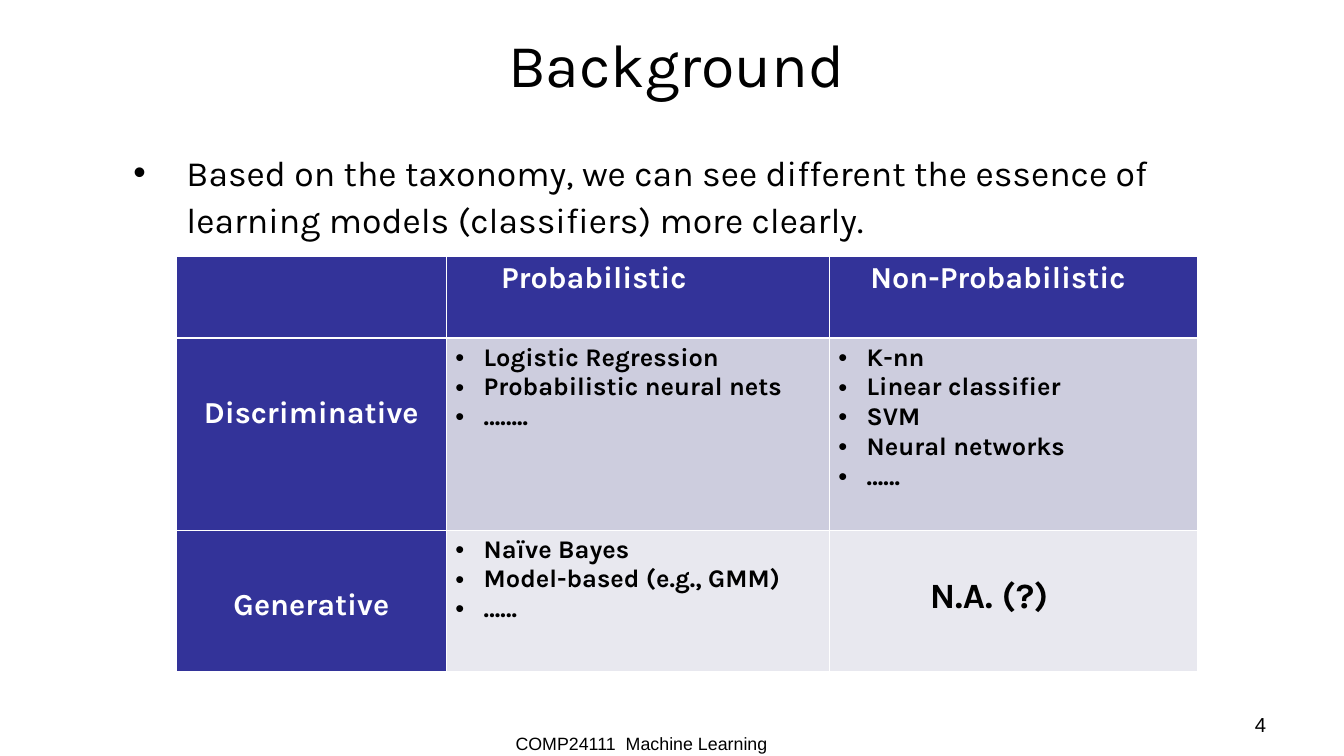
from lxml import etree
from pptx import Presentation, util as u
from pptx.dml.color import RGBColor
from pptx.enum import text as t
from pptx.oxml.ns import qn

# Content
TITLE = "Background"
POINT = ("Based on the taxonomy, we can see different the essence of "
         "learning models (classifiers) more clearly.")
FOOT = "COMP24111  Machine Learning"
PAGE = "4"
GRID = [
    [[], ["Probabilistic"], ["Non-Probabilistic"]],
    [["Discriminative"],
     ["Logistic Regression", "Probabilistic neural nets", "…….."],
     ["K-nn", "Linear classifier", "SVM", "Neural networks", "……"]],
    [["Generative"],
     ["Naïve Bayes", "Model-based (e.g., GMM)", "……"],
     ["N.A. (?)"]],
]

# Look
HUES = {"ink": "000000", "white": "FFFFFF", "head": "333399",
        "band": "CDCDDE", "pale": "E8E8EF"}
WIDE, HIGH = 14.7, 8.27

# Places, in percent of the slide: left, top, width, height
SPOTS = {"title": (13.13, 0, 74.42, 16.69),
         "point": (9.18, 18.74, 84.49, 14.5),
         "page": (71.63, 93.47, 23.33, 6.89),
         "foot": (37.69, 96.37, 20.27, 4.11)}
COLS = (20.07, 28.5, 27.41)
ROWS = (10.88, 25.39, 18.62)
CORNER = (13.13, 33.86)

# Cell insets in inches: left, top
PADS = {(0, 1): (0.6, 0.05), (0, 2): (0.45, 0.05),
        (1, 0): (0.1, 0.63), (2, 0): (0.1, 0.63), (2, 2): (1.1, 0.5)}


def across(share):
    return u.Inches(WIDE * share / 100)


def down(share):
    return u.Inches(HIGH * share / 100)


def write(frame, lines, size=20, font="Karla", hue="ink", bold=False,
          align="LEFT", dent=0, lead=None, before=0):
    """Fill a text frame; a dent above zero makes bullets."""
    for i, line in enumerate(lines):
        para = frame.add_paragraph() if i else frame.paragraphs[0]
        para.alignment = getattr(t.PP_ALIGN, align)
        para.space_before = u.Pt(before)
        if lead:
            para.line_spacing = lead
        if dent:
            props = para._p.get_or_add_pPr()
            props.set("marL", str(u.Inches(dent)))
            props.set("indent", str(-u.Inches(dent)))
            etree.SubElement(props, qn("a:buFont"), typeface="Arial")
            etree.SubElement(props, qn("a:buChar"), char="•")
        run = para.add_run()
        run.text = line
        run.font.size, run.font.name, run.font.bold = u.Pt(size), font, bold
        run.font.color.rgb = RGBColor.from_string(HUES[hue])


def place(name, line, pad=(0.11, 0.06), wrap=True, mid=False, **form):
    x, y, w, h = SPOTS[name]
    frame = slide.shapes.add_textbox(
        across(x), down(y), across(w), down(h)).text_frame
    frame.word_wrap = wrap
    frame.margin_left = frame.margin_right = u.Inches(pad[0])
    frame.margin_top = frame.margin_bottom = u.Inches(pad[1])
    frame.vertical_anchor = t.MSO_ANCHOR.MIDDLE if mid else t.MSO_ANCHOR.TOP
    write(frame, [line], **form)


def edge(cell, row):
    """White rules, thicker beneath the header row."""
    thick = {(0, "B"), (1, "T")}
    for side in "LRTB":
        width = 1.47 if (row, side) in thick else 0.45
        rule = etree.SubElement(cell._tc.get_or_add_tcPr(),
                                qn("a:ln" + side), w=str(u.Pt(width)))
        fill = etree.SubElement(rule, qn("a:solidFill"))
        etree.SubElement(fill, qn("a:srgbClr"), val=HUES["white"])


deck = Presentation()
deck.slide_width, deck.slide_height = u.Inches(WIDE), u.Inches(HIGH)
slide = deck.slides.add_slide(deck.slide_layouts[6])

# Footer, page number, title and lead point
place("foot", FOOT, pad=(0.1, 0.05), wrap=False, size=14, font="Arial")
place("page", PAGE, size=16, font="Arial", align="RIGHT")
place("title", TITLE, mid=True, size=48, align="CENTER")
place("point", POINT, size=28, dent=0.58, lead=1.1, before=7)

# Table of model kinds
table = slide.shapes.add_table(
    len(ROWS), len(COLS), across(CORNER[0]), down(CORNER[1]),
    across(sum(COLS)), down(sum(ROWS))).table
for col, share in zip(table.columns, COLS):
    col.width = across(share)
for row, share in zip(table.rows, ROWS):
    row.height = down(share)

for r, row in enumerate(GRID):
    for c, lines in enumerate(row):
        cell = table.cell(r, c)
        head = r == 0 or c == 0
        left, top = PADS.get((r, c), (0.1, 0.05))
        cell.margin_left, cell.margin_top = u.Inches(left), u.Inches(top)
        edge(cell, r)
        cell.fill.solid()
        tint = "head" if head else ("band" if r == 1 else "pale")
        cell.fill.fore_color.rgb = RGBColor.from_string(HUES[tint])
        if head:
            form = dict(size=24, hue="white",
                        align="LEFT" if r == 0 else "CENTER")
        elif len(lines) == 1:
            form = dict(size=28)
        else:
            form = dict(size=20, dent=0.31)
        write(cell.text_frame, lines, bold=True, **form)

deck.save("out.pptx")
